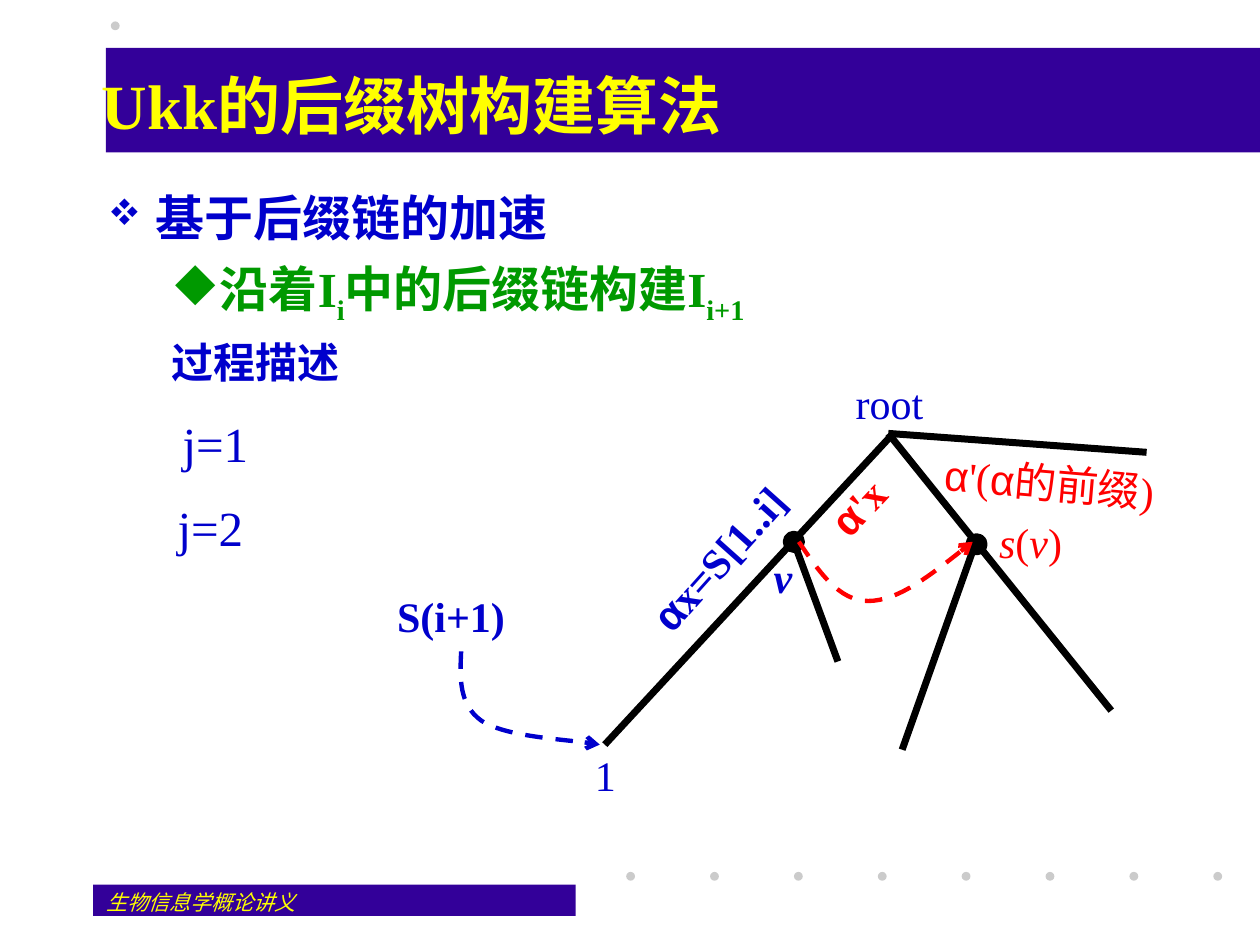
from lxml import etree
from pptx import Presentation
from pptx.dml.color import RGBColor
from pptx.enum.dml import MSO_LINE
from pptx.enum.shapes import MSO_CONNECTOR, MSO_SHAPE
from pptx.enum.text import MSO_ANCHOR, MSO_AUTO_SIZE, PP_ALIGN
from pptx.oxml.ns import qn
from pptx.util import Inches, Pt

RECT, OVAL = MSO_SHAPE.RECTANGLE, MSO_SHAPE.OVAL
STRAIGHT = MSO_CONNECTOR.STRAIGHT
DASH = MSO_LINE.DASH
TOP, MIDDLE = MSO_ANCHOR.TOP, MSO_ANCHOR.MIDDLE
LEFT, CENTER = PP_ALIGN.LEFT, PP_ALIGN.CENTER
FIT = MSO_AUTO_SIZE.SHAPE_TO_FIT_TEXT
NO_FIT = MSO_AUTO_SIZE.NONE
SERIF, SANS, SYMBOLS = "Times New Roman", "Arial", "Wingdings"
COLORS = {
    "band": "330099",
    "dot": "CBCBCB",
    "yellow": "FFFF00",
    "blue": "0000CC",
    "green": "009900",
    "red": "FF0000",
    "black": "000000",
}
BOLD, ITALIC = {"bold": True}, {"italic": True}
ROOT = (7.05, 3.44)


def rgb(name):
    """Return the named colour."""
    return RGBColor.from_string(COLORS[name])


def add_solid(s, kind, box, color, outline=0):
    """Add a filled preset shape, outlined in its own colour if asked."""
    sp = s.shapes.add_shape(kind, *map(Inches, box))
    sp.shadow.inherit = False
    sp.fill.solid()
    sp.fill.fore_color.rgb = rgb(color)
    if outline:
        sp.line.color.rgb = rgb(color)
        sp.line.width = Pt(outline)
    else:
        sp.line.fill.background()
    return sp


def add_runs(p, runs, size, color):
    """Add (text, format) runs; a baseline entry makes a subscript."""
    for text, fmt in runs:
        r = p.add_run()
        r.text = text
        values = {"size": Pt(size), "name": SERIF, **fmt}
        baseline = values.pop("baseline", None)
        for key, value in values.items():
            setattr(r.font, key, value)
        r.font.color.rgb = rgb(color)
        if baseline:
            r.font._element.set("baseline", str(baseline))


def add_box(s, box, wrap=True, inset=(0.1, 0.05), anchor=TOP, fit=NO_FIT):
    """Add an empty text box and return it with its text frame."""
    sp = s.shapes.add_textbox(*map(Inches, box))
    tf = sp.text_frame
    x, y = map(Inches, inset)
    values = {"word_wrap": wrap, "auto_size": fit, "vertical_anchor": anchor,
              "margin_left": x, "margin_right": x,
              "margin_top": y, "margin_bottom": y}
    for key, value in values.items():
        setattr(tf, key, value)
    return sp, tf


def add_line_text(s, box, runs, size, color, **options):
    """Add a one-line left-aligned text box."""
    p = add_box(s, box, **options)[1].paragraphs[0]
    p.alignment = LEFT
    add_runs(p, runs, size, color)


def add_label(s, box, runs, color="blue", size=24, rotation=0):
    """Add a centred diagram label without insets."""
    sp, tf = add_box(s, box, wrap=False, inset=(0, 0), fit=FIT)
    sp.rotation = rotation
    p = tf.paragraphs[0]
    p.alignment = CENTER
    add_runs(p, runs, size, color)


def set_bullet(p, left, hanging, char=None, color=None, percent=100):
    """Give a paragraph its indents and, if any, its symbol-font bullet."""
    pPr = p._p.get_or_add_pPr()
    pPr.set("marL", str(Inches(left)))
    pPr.set("indent", str(-Inches(hanging)))
    if char is None:
        etree.SubElement(pPr, qn("a:buNone"))
        return
    clr = etree.SubElement(pPr, qn("a:buClr"))
    etree.SubElement(clr, qn("a:srgbClr"), val=COLORS[color])
    etree.SubElement(pPr, qn("a:buSzPct"), val=str(percent * 1000))
    etree.SubElement(pPr, qn("a:buFont"), typeface=SYMBOLS, charset="2")
    etree.SubElement(pPr, qn("a:buChar"), char=char)


def add_outline(s):
    """Add the bulleted outline."""
    sub = {**BOLD, "baseline": -25000}
    items = [
        (0, 0, 28, "blue", (0.38, 0.38, "v", "blue", 75),
         [("基于后缀链的加速", BOLD)]),
        (1, 7, 28, "green", (0.81, 0.31, "u", "green"),
         [("沿着I", BOLD), ("i", sub), ("中的后缀链构建I", BOLD), ("i+1", sub)]),
        (1, 6, 24, "blue", (0.81, 0.31), [("过程描述", BOLD)]),
    ]
    tf = add_box(s, (0.76, 1.44, 8.9, 5.38))[1]
    for i, (level, before, size, color, bullet, runs) in enumerate(items):
        p = tf.add_paragraph() if i else tf.paragraphs[0]
        set_bullet(p, *bullet)
        p.level = level
        p.alignment = LEFT
        p.space_before = Pt(before)
        add_runs(p, runs, size, color)


def add_edge(s, start, end):
    """Add a thick tree edge."""
    c = s.shapes.add_connector(STRAIGHT, *map(Inches, start + end))
    c.line.color.rgb = rgb("black")
    c.line.width = Pt(4)
    etree.SubElement(c._element.spPr, qn("a:effectLst"))


def add_curve(s, points, color):
    """Add a dashed Bezier arrow from a start and triples of control points."""
    pts = [tuple(map(Inches, pt)) for pt in points]
    fb = s.shapes.build_freeform(*pts[0])
    fb.add_line_segments(pts[1:], close=False)
    sp = fb.convert_to_shape()
    sp.shadow.inherit = False
    sp.fill.background()
    sp.line.color.rgb = rgb(color)
    sp.line.width = Pt(2.5)
    sp.line.dash_style = DASH
    etree.SubElement(sp.line._get_or_add_ln(), qn("a:tailEnd"), type="arrow")
    segments = list(sp._element.iter(qn("a:lnTo")))
    for i in range(0, len(segments), 3):
        first = segments[i]
        first.tag = qn("a:cubicBezTo")
        for other in segments[i + 1:i + 3]:
            first.append(other[0])
            other.getparent().remove(other)


def add_frame(s):
    """Add the bands, the dots, the footer and the title."""
    add_solid(s, RECT, (0.74, 7.02, 3.83, 0.25), "band")
    for i in range(8):
        add_solid(s, OVAL, (4.97 + i * 4.66 / 7, 6.92, 0.07, 0.07), "dot")
    add_solid(s, RECT, (0.84, 0.38, 9.16, 0.83), "band")
    add_solid(s, OVAL, (0.88, 0.17, 0.07, 0.07), "dot")
    add_line_text(s, (0.75, 7.01, 2.08, 0.25), [("生物信息学概论讲义", ITALIC)],
                  12, "yellow")
    add_line_text(s, (0.71, 0.33, 8.9, 1), [("Ukk的后缀树构建算法", BOLD)],
                  36, "yellow", anchor=MIDDLE)


def add_tree(s):
    """Add the suffix tree with its suffix link and labels."""
    sans, bold_sans = {"name": SANS}, {"name": SANS, **BOLD}
    for start, end in [((7.09, 3.44), (4.8, 5.91)), (ROOT, (8.82, 5.64)),
                       ((6.3, 4.3), (6.65, 5.25)), ((7.76, 4.26), (7.16, 5.95)),
                       (ROOT, (9.1, 3.59))]:
        add_edge(s, start, end)
    for x, y in [(6.24, 4.24), (7.69, 4.26)]:
        add_solid(s, OVAL, (x, y, 0.12, 0.12), "black", outline=4)
    add_curve(s, [(3.66, 5.17), (3.65, 5.38), (3.64, 5.59), (3.82, 5.72),
                  (4, 5.84), (4.61, 5.88), (4.76, 5.91)], "blue")
    add_curve(s, [(6.34, 4.3), (6.5, 4.54), (6.66, 4.77), (6.89, 4.77),
                  (7.12, 4.77), (7.42, 4.54), (7.72, 4.3)], "red")
    add_label(s, (1.43, 3.28, 0.56, 0.47), [("j=1", {})], size=28)
    add_label(s, (1.39, 3.95, 0.56, 0.47), [("j=2", {})], size=28)
    add_label(s, (5, 4.23, 1.4, 0.4), [("α", bold_sans), ("x=S[1..i]", BOLD)],
              rotation=311.8)
    add_label(s, (6.79, 3, 0.54, 0.4), [("root", {})])
    add_label(s, (4.72, 5.95, 0.17, 0.4), [("1", {})])
    add_label(s, (6.14, 4.38, 0.15, 0.4), [("v", {**BOLD, **ITALIC})])
    add_label(s, (7.93, 4.1, 0.5, 0.4),
              [("s", ITALIC), ("(", {}), ("v", ITALIC), (")", {})], "red")
    add_label(s, (7.4, 3.63, 1.86, 0.4),
              [("α", sans), ("'(", {}), ("α", sans), ("的前缀)", {})],
              "red", rotation=5)
    add_label(s, (3.15, 4.69, 0.86, 0.4), [("S(i+1)", BOLD)])
    add_label(s, (6.57, 3.82, 0.47, 0.4), [("α", bold_sans), ("'x", BOLD)],
              "red", rotation=313.2)


def main():
    """Build and save the slide."""
    prs = Presentation()
    prs.slide_width, prs.slide_height = Inches(10), Inches(7.5)
    s = prs.slides.add_slide(prs.slide_layouts[6])
    add_frame(s)
    add_outline(s)
    add_tree(s)
    prs.save("out.pptx")


if __name__ == "__main__":
    main()
